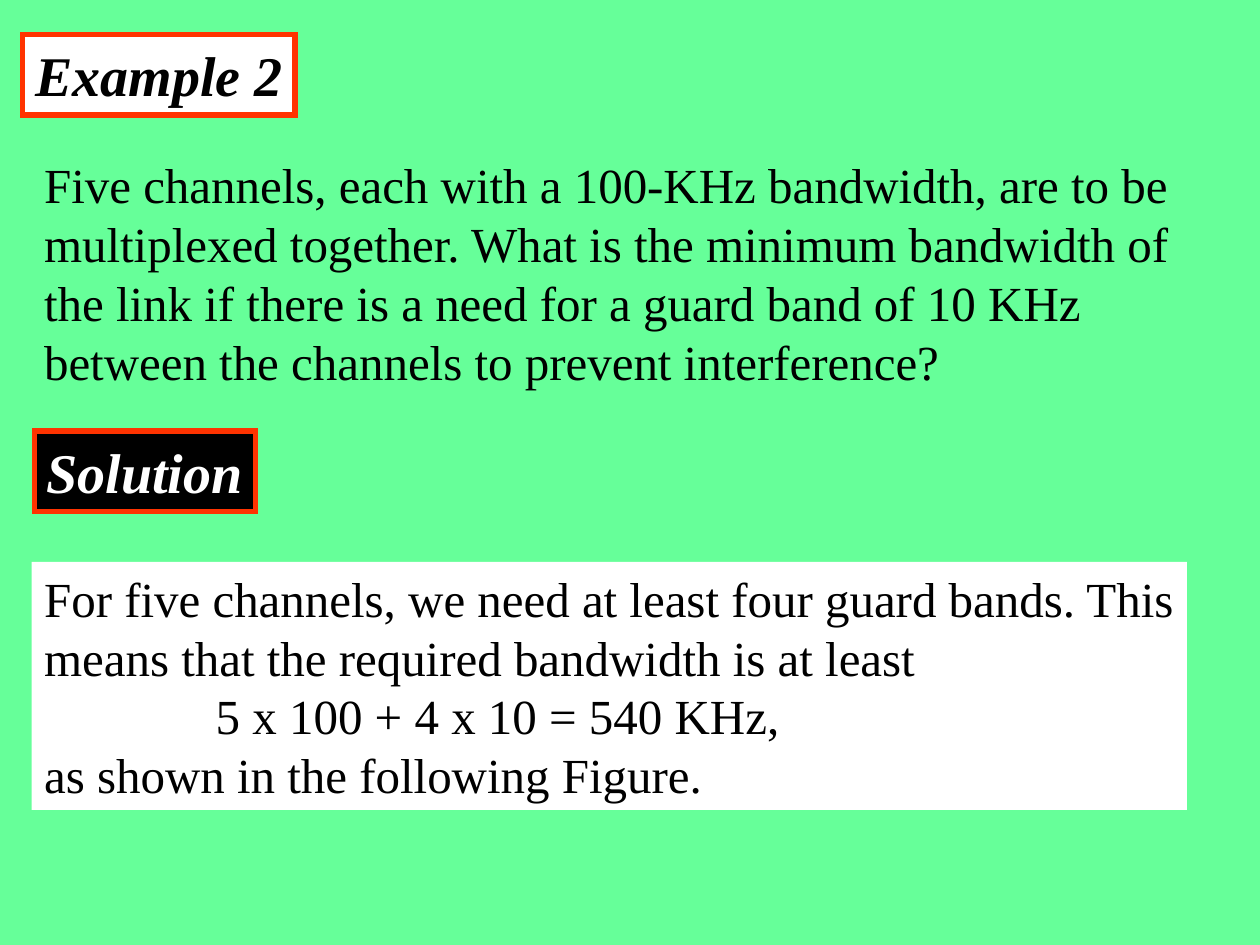
import lxml.etree
import pptx
import pptx.dml.color
import pptx.enum.shapes
import pptx.enum.text
import pptx.oxml.ns
import pptx.util

Cm = pptx.util.Cm
Pt = pptx.util.Pt
RGB = pptx.dml.color.RGBColor.from_string
qn = pptx.oxml.ns.qn
COLORS = {"green": "66FF99", "white": "FFFFFF", "black": "000000", "red": "FF3300"}

LABEL = {"name": "Times New Roman", "size": Pt(32), "bold": True, "italic": True}
BODY = {"name": "Times New Roman", "size": Pt(28), "bold": False, "italic": False}

question = (
    "Five channels, each with a 100-KHz bandwidth, are to be multiplexed together. "
    "What is the minimum bandwidth of the link if there is a need for a guard band "
    "of 10 KHz between the channels to prevent interference?"
)
# Each line is its text and its left indent in cm
answer = [
    ("For five channels, we need at least four guard bands. "
     "This means that the required bandwidth is at least", 0),
    ("5 x 100 + 4 x 10 = 540 KHz,", 3.46),
    ("as shown in the following Figure.", 0),
]

# Left, top, width, height in cm; fill; outline; text colour; font; lines
blocks = [
    (0.46, 0.69, 5.49, 1.63, "white", "red", "black", LABEL, [("Example 2", 0)]),
    (0.64, 3.0, 23.5, 5.0, None, None, "black", BODY, [(question, 0)]),
    (0.69, 8.69, 4.47, 1.63, "black", "red", "white", LABEL, [("Solution", 0)]),
    (0.64, 11.33, 23.29, 5.0, "white", None, "black", BODY, answer),
]

# Slide and background
deck = pptx.Presentation()
deck.slide_width, deck.slide_height = Cm(25.4), Cm(19.05)
slide = deck.slides.add_slide(deck.slide_layouts[6])
slide.background.fill.solid()
slide.background.fill.fore_color.rgb = RGB(COLORS["green"])

# Labels, question and answer
for left, top, width, height, fill, outline, ink, font_format, lines in blocks:
    place = [Cm(length) for length in (left, top, width, height)]
    if fill:
        block = slide.shapes.add_shape(pptx.enum.shapes.MSO_SHAPE.RECTANGLE, *place)
        block.shadow.inherit = False
        block.fill.solid()
        block.fill.fore_color.rgb = RGB(COLORS[fill])
        if outline:
            block.line.color.rgb = RGB(COLORS[outline])
            block.line.width = Pt(3)
            # Square corners on the outline
            border = block._element.spPr.find(qn("a:ln"))
            lxml.etree.SubElement(border, qn("a:miter"), lim="800000")
        else:
            block.line.fill.background()
    else:
        block = slide.shapes.add_textbox(*place)

    frame = block.text_frame
    frame.word_wrap = font_format is BODY
    frame.auto_size = pptx.enum.text.MSO_AUTO_SIZE.NONE
    frame.vertical_anchor = pptx.enum.text.MSO_ANCHOR.TOP
    if font_format is LABEL:
        # Spare room that keeps the label on one line
        frame.margin_right = Cm(0)
    frame.text = "\n".join(text for text, _ in lines)
    for paragraph, (_, indent) in zip(frame.paragraphs, lines):
        paragraph.alignment = pptx.enum.text.PP_ALIGN.LEFT
        if indent:
            paragraph._p.get_or_add_pPr().set("marL", str(Cm(indent)))
        for attribute, value in font_format.items():
            setattr(paragraph.font, attribute, value)
        paragraph.font.color.rgb = RGB(COLORS[ink])

deck.save("out.pptx")
